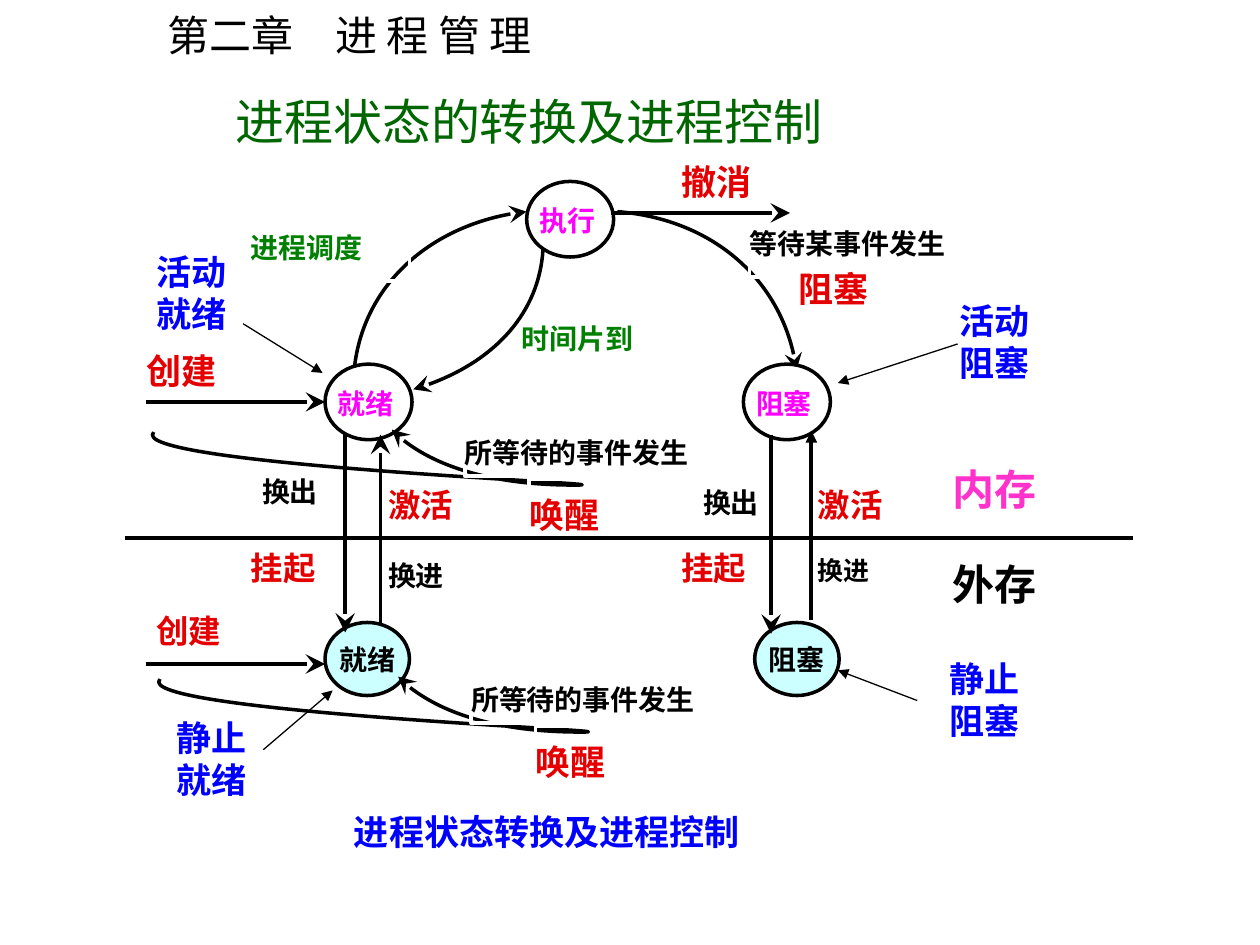
import pptx
import pptx.util
import pptx.dml.color
import pptx.enum.shapes
import pptx.enum.text
import pptx.oxml
import pptx.oxml.ns
import lxml.etree

BLACK, WHITE, RED, GREEN = "000000", "FFFFFF", "E40000", "008000"
BLUE, MAGENTA, PINK, CYAN, TITLE = "0000FF", "FF00FF", "FF33CC", "CCFFFF", "006600"
CJK, TIMES = "Noto Sans CJK SC", "Times New Roman"
ALIGN = pptx.enum.text.PP_ALIGN
ANCHOR = pptx.enum.text.MSO_ANCHOR
SHAPE = pptx.enum.shapes.MSO_SHAPE


def color(value):
    return pptx.dml.color.RGBColor.from_string(value)


def u(cells):
    """Length of grid cells: the slide has 100 columns and 75 rows."""
    return pptx.util.Inches(cells / 10)


def add_xml(parent, tag, **attrs):
    return lxml.etree.SubElement(parent, pptx.oxml.ns.qn(tag), attrs)


class Diagram:
    def __init__(self, slide):
        self.shapes = slide.shapes

    def set_text(self, sp, text, size, ink, font, bold=True, align=ALIGN.JUSTIFY,
                 insets=(1, 0.5, 1, 0.5), wrap=True, anchor=ANCHOR.TOP):
        tf = sp.text_frame
        tf.margin_left, tf.margin_top, tf.margin_right, tf.margin_bottom = map(u, insets)
        tf.word_wrap, tf.vertical_anchor = wrap, anchor
        tf.text = text
        p = tf.paragraphs[0]
        p.alignment = align
        f = p.runs[0].font
        f.size, f.bold, f.name = pptx.util.Pt(size), bold, font
        f.color.rgb = color(ink)
        add_xml(p.runs[0]._r.get_or_add_rPr(), "a:ea", typeface=CJK)

    def box(self, kind, x, y, w, h, fill, line):
        sp = self.shapes.add_shape(kind, u(x), u(y), u(w), u(h))
        sp.shadow.inherit = False
        if fill:
            sp.fill.solid()
            sp.fill.fore_color.rgb = color(fill)
        else:
            sp.fill.background()
        sp.line.color.rgb = color(line)
        sp.line.width = pptx.util.Pt(2)
        return sp

    def label(self, text, x, y, w, h, size, ink, font=TIMES, top=0, left=0):
        # The white outline cuts the curves that pass behind a label
        sp = self.box(SHAPE.RECTANGLE, x, y, w, h, None, WHITE)
        self.set_text(sp, text, size, ink, font, insets=(left, top, 0, 0))

    def active_state(self, text, x, y):
        sp = self.box(SHAPE.OVAL, x, y, 6.9, 6, WHITE, BLACK)
        self.set_text(sp, text, 16, MAGENTA, TIMES, insets=(0, 0.9, 0, 0))

    def static_state(self, text, x, y):
        sp = self.box(SHAPE.OVAL, x, y, 6.7, 5.8, CYAN, BLACK)
        self.set_text(sp, text, 16, BLACK, CJK, align=ALIGN.CENTER,
                      insets=(1, 0.1, 1, 0), wrap=False, anchor=ANCHOR.MIDDLE)

    def text(self, text, x, y, w, h, size, ink, font, bold, wrap=True):
        sp = self.shapes.add_textbox(u(x), u(y), u(w), u(h))
        self.set_text(sp, text, size, ink, font, bold, align=ALIGN.LEFT, wrap=wrap)

    def arrowhead(self, line, kind, size):
        add_xml(line._get_or_add_ln(), "a:tailEnd", type=kind, w=size, len=size)

    def line(self, x1, y1, x2, y2, width=2.25, head="stealth", size="lg"):
        cx = self.shapes.add_connector(pptx.enum.shapes.MSO_CONNECTOR.STRAIGHT,
                                       u(x1), u(y1), u(x2), u(y2))
        cx.line.color.rgb = color(BLACK)
        cx.line.width = pptx.util.Pt(width)
        if head:
            self.arrowhead(cx.line, head, size)
        add_xml(cx._element.spPr, "a:effectLst")

    def curve(self, *points):
        """Start point, then three control points for each Bezier segment."""
        pts = [(u(x), u(y)) for x, y in points]
        builder = self.shapes.build_freeform(*pts[0])
        builder.add_line_segments(pts[1:], close=False)
        sp = builder.convert_to_shape()
        sp.shadow.inherit = False
        sp.fill.background()
        sp.line.color.rgb = color(BLACK)
        sp.line.width = pptx.util.Pt(2)
        self.arrowhead(sp.line, "stealth", "lg")
        # Join every three straight steps into one cubic segment
        outline = sp._element.find(".//" + pptx.oxml.ns.qn("a:path"))
        steps = outline.findall(pptx.oxml.ns.qn("a:lnTo"))
        for i in range(0, len(steps), 3):
            bezier = add_xml(outline, "a:cubicBezTo")
            for step in steps[i:i + 3]:
                bezier.append(step[0])
                outline.remove(step)


def main():
    prs = pptx.Presentation()
    prs.slide_width, prs.slide_height = u(100), u(75)
    d = Diagram(prs.slides.add_slide(prs.slide_layouts[6]))

    # Headings
    d.text("第二章　进 程 管 理", 12.3, 0.3, 31.6, 5, 24, BLACK, CJK, False, wrap=False)
    d.text("进程状态的转换及进程控制", 17.7, 6.8, 74, 5.7, 28, TITLE, CJK, False)

    # Curved transitions between the active states
    d.curve((43.1, 19.8), (42.8, 24.8), (38.8, 29.2), (32.8, 30.9))
    d.curve((28.1, 29.5), (28.7, 22.9), (34.4, 17.6), (41.8, 16.8))
    d.curve((49, 16.8), (56.5, 17.4), (62.4, 22.7), (63.2, 29.4))

    # States
    for text, x, y in (("执行", 41.8, 14.4), ("就绪", 25.8, 28.9), ("阻塞", 59, 28.9)):
        d.active_state(text, x, y)
    for text, x in (("就绪", 25.8), ("阻塞", 59.9)):
        d.static_state(text, x, 49.4)

    # Wake-up loops, in memory and on disk
    loop = ((12.2, 34.3), (9.7, 36.9), (51.7, 38.5), (45.6, 38.5),
            (39.3, 38.5), (33.6, 36.8), (31.1, 34.1))
    for dx, dy, wake_w in ((0, 0, 8), (0.5, 19.6, 6.6)):
        d.curve(*((x + dx, y + dy) for x, y in loop))
        d.label("所等待的事件发生", 36.9 + dx, 33 + dy, 18.3, 4.8, 16, BLACK, top=1.6)
        d.label("唤醒", 42 + dx, 38 + dy, wake_w, 4.8, 20, RED, top=1.2)

    # Transition labels
    d.label("进程调度", 19.9, 17.5, 12.6, 4.8, 16, GREEN, top=0.8)
    d.label("时间片到", 41.4, 25.5, 10.3, 4.8, 16, GREEN)
    d.label("等待某事件发生", 59.5, 17.2, 17.2, 4.8, 16, BLACK, top=0.8)
    d.label("阻塞", 63.4, 21.2, 10.3, 4.8, 20, RED)
    for text, x, y, size in (("撤消", 54.1, 12.7, 20), ("创建", 11.6, 27.7, 20),
                             ("创建", 12.4, 48.5, 18.5), ("挂起", 19.9, 43.5, 18.5),
                             ("挂起", 54.1, 43.5, 18.5), ("激活", 30.8, 38.5, 18.5),
                             ("激活", 64.9, 38.5, 18.5)):
        d.label(text, x, y, 6.7, 3.3, size, RED)
    for x, y in ((20.8, 37.7), (55.8, 38.5)):
        d.label("换出", x, y, 5, 3.3, 16, BLACK, CJK)
    d.label("换进", 30.8, 43.5, 5.8, 4.2, 16, BLACK, CJK, top=0.8)
    d.label("换进", 64.9, 43.5, 5, 3.3, 14.8, BLACK, CJK, top=0.5)

    # Storage areas and caption
    d.label("内存", 74.1, 36, 13.3, 4.8, 24, PINK, CJK, top=0.8, left=1.5)
    d.label("外存", 74.1, 43.5, 13.3, 4.8, 24, BLACK, CJK, top=0.8, left=1.5)
    d.label("进程状态转换及进程控制", 26.6, 63.5, 40, 4.8, 20, BLUE, CJK, top=0.8, left=1.5)

    # Divider between memory and disk
    d.line(9.9, 42.7, 89.9, 42.7, head=None)

    # Creation and termination
    for x, y in ((11.6, 31.9), (11.6, 52.7), (48.5, 16.9)):
        d.line(x, y, x + 14.2, y)

    # Swapping out and in
    d.line(27.4, 34.4, 27.4, 50.2)
    d.line(61.2, 34.5, 61.2, 50.3)
    d.line(30.2, 49.5, 30.2, 34.5)
    d.line(64.4, 49.2, 64.4, 34.2, head="triangle", size="med")

    # State names with pointers
    for text, x, y, pointer in (("活动阻塞", 75.2, 23.3, (76, 27.3, 66.5, 30.4)),
                                ("静止阻塞", 74.4, 51.7, (72.8, 55.6, 66.5, 53.2)),
                                ("静止就绪", 13, 56.4, (20.9, 59.5, 26.4, 54.8)),
                                ("活动就绪", 11.4, 19.4, (19.3, 25.7, 25.6, 29.6))):
        d.line(*pointer, width=0.75, head="triangle", size="med")
        d.text(text, x, y, 8.7, 7.7, 20, BLUE, TIMES, True)

    prs.save("out.pptx")


if __name__ == "__main__":
    main()
